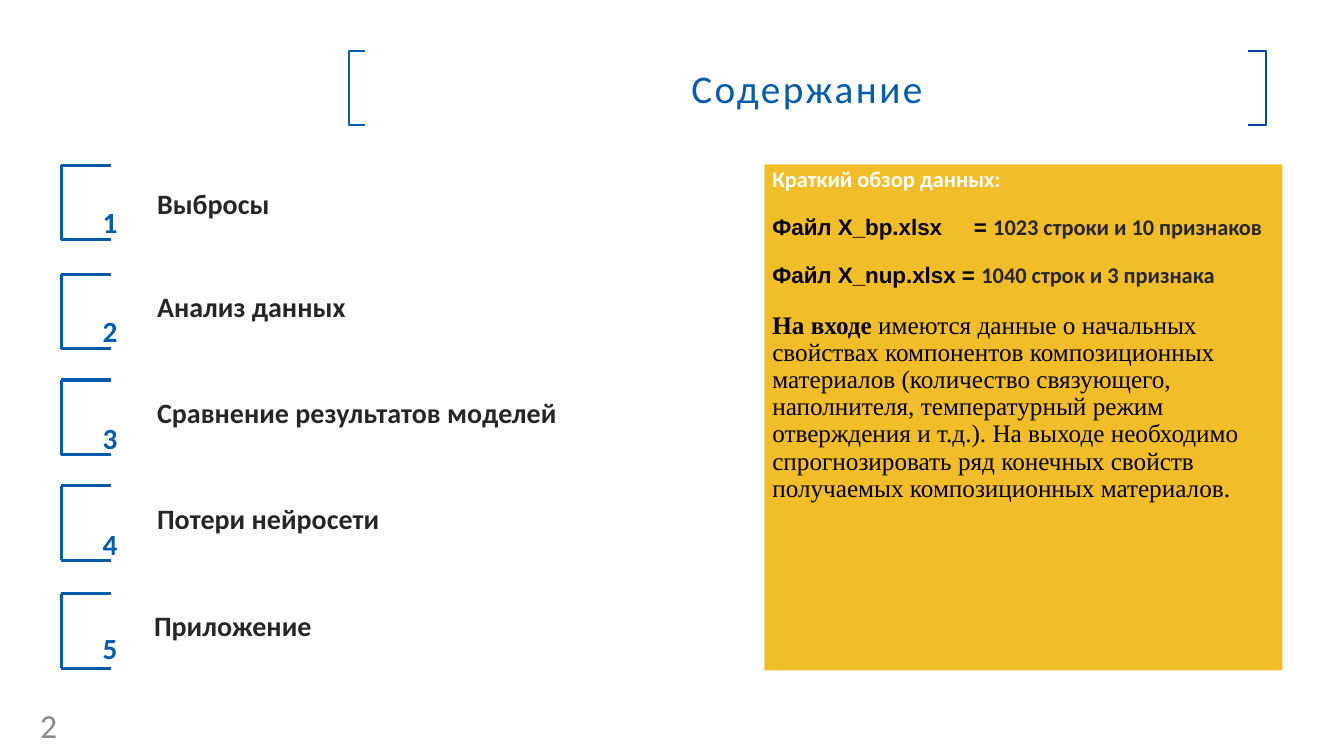
from pptx import Presentation
from pptx.dml.color import RGBColor
from pptx.enum.shapes import MSO_CONNECTOR
from pptx.enum.text import MSO_ANCHOR, MSO_AUTO_SIZE, PP_ALIGN
from pptx.util import Inches, Pt
from lxml.etree import SubElement
from pptx.oxml.ns import qn

COLORS = {"blue": "065CAB", "navy": "0046A2", "gold": "F1BE29", "white": "FFFFFF",
          "dark": "262626", "black": "000000", "gray": "898989"}


def style(run, size, color, bold=False, font="Calibri"):
    run.font.size = Pt(size)
    run.font.name = font
    run.font.bold = bold
    run.font.color.rgb = RGBColor.from_string(COLORS[color])


def label(text, left, top, width, height, size, color, bold=True):
    box = slide.shapes.add_textbox(Inches(left), Inches(top), Inches(width), Inches(height))
    frame = box.text_frame
    frame.word_wrap = True
    frame.text = text
    style(frame.paragraphs[0].runs[0], size, color, bold)
    return frame


prs = Presentation()
prs.slide_width, prs.slide_height = Inches(13.33), Inches(7.5)
slide = prs.slides.add_slide(prs.slide_layouts[1])

# Title
title = slide.shapes.title
title.left, title.top, title.width, title.height = map(Inches, (3.46, 0.51, 9.09, 0.73))
title.fill.solid()
title.fill.fore_color.rgb = RGBColor.from_string(COLORS["white"])
frame = title.text_frame
frame.text = "Содержание"
frame.vertical_anchor = MSO_ANCHOR.MIDDLE
frame.auto_size = MSO_AUTO_SIZE.NONE
head = frame.paragraphs[0]
head.alignment = PP_ALIGN.CENTER
style(head.runs[0], 28, "blue")
head.runs[0].font._element.set("spc", "180")

# Brackets around the title
for inner, outer, color in ((3.62, 3.46, "blue"), (12.38, 12.56, "navy")):
    form = slide.shapes.build_freeform(Inches(inner), Inches(0.51))
    ends = [(outer, 0.51), (outer, 1.24), (inner, 1.24)]
    form.add_line_segments([(Inches(x), Inches(y)) for x, y in ends], close=False)
    mark = form.convert_to_shape()
    mark.shadow.inherit = False
    mark.fill.background()
    mark.line.color.rgb = RGBColor.from_string(COLORS[color])
    mark.line.width = Pt(1.3)

# Data panel
panel = slide.placeholders[1]
panel.left, panel.top, panel.width, panel.height = map(Inches, (7.58, 1.63, 5.14, 5.02))
panel.fill.solid()
panel.fill.fore_color.rgb = RGBColor.from_string(COLORS["gold"])
frame = panel.text_frame
frame.auto_size = MSO_AUTO_SIZE.NONE
frame.margin_left = frame.margin_right = Inches(0.08)
frame.margin_top = frame.margin_bottom = Inches(0.04)
notes = [
    [("Краткий обзор данных:", 16, "white", True, "Calibri")],
    [("Файл X_bp.xlsx\t= ", 16, "black", True, "Arial"),
     ("1023 строки и 10 признаков", 16, "dark", True, "Calibri")],
    [("Файл X_nup.xlsx = ", 16, "black", True, "Arial"),
     ("1040 строк и 3 признака", 16, "dark", True, "Calibri")],
    [("На входе", 18, "black", True, "Times New Roman"),
     (" имеются данные о начальных свойствах компонентов композиционных материалов "
      "(количество связующего, наполнителя, температурный режим отверждения и т.д.). "
      "На выходе необходимо спрогнозировать ряд конечных свойств получаемых "
      "композиционных материалов.", 18, "black", False, "Times New Roman")],
]
for i, parts in enumerate(notes):
    para = frame.add_paragraph() if i else frame.paragraphs[0]
    para.alignment = PP_ALIGN.LEFT if i else PP_ALIGN.JUSTIFY
    para.line_spacing = 0.9
    para.space_before = Pt(17 if i else 0)
    props = para._p.get_or_add_pPr()
    props.set("marL", "0")
    props.set("indent", "0")
    SubElement(props, qn("a:buNone"))
    # The tab lines up the equals signs
    tabs = SubElement(props, qn("a:tabLst"))
    SubElement(tabs, qn("a:tab"), pos=str(Inches(1.87)), algn="l")
    for text, *look in parts:
        run = para.add_run()
        run.text = text
        style(run, *look)

# Contents: text, bracket top, number top, label left and top
items = [
    ("Выбросы", 1.64, 1.92, 1.46, 1.8),
    ("Анализ данных", 2.72, 3, 1.46, 2.82),
    ("Сравнение результатов моделей", 3.77, 4.06, 1.46, 3.87),
    ("Потери нейросети", 4.82, 5.11, 1.46, 4.93),
    ("Приложение", 5.89, 6.14, 1.43, 5.99),
]
for i, (text, top, num_top, left, text_top) in enumerate(items, 1):
    low = top + 0.74
    for x1, y1, x2, y2 in ((0.61, top, 0.61, low), (0.61, top, 1.1, top), (0.61, low, 1.1, low)):
        line = slide.shapes.add_connector(
            MSO_CONNECTOR.STRAIGHT, Inches(x1), Inches(y1), Inches(x2), Inches(y2))
        line.line.color.rgb = RGBColor.from_string(COLORS["blue"])
        line.line.width = Pt(2.25)
        SubElement(line._element.spPr, qn("a:effectLst"))
    label(text, left, text_top, 6.1, 0.44, 20, "dark")
    digit = label(str(i), 0.92, num_top, 1.18, 0.5, 36, "blue")
    digit.paragraphs[0].runs[0].font._element.set("baseline", "30000")

# Page number
page = label("2", 0.3, 7.04, 0.62, 0.3, 24, "gray", False)
page.vertical_anchor = MSO_ANCHOR.MIDDLE

prs.save("out.pptx")
